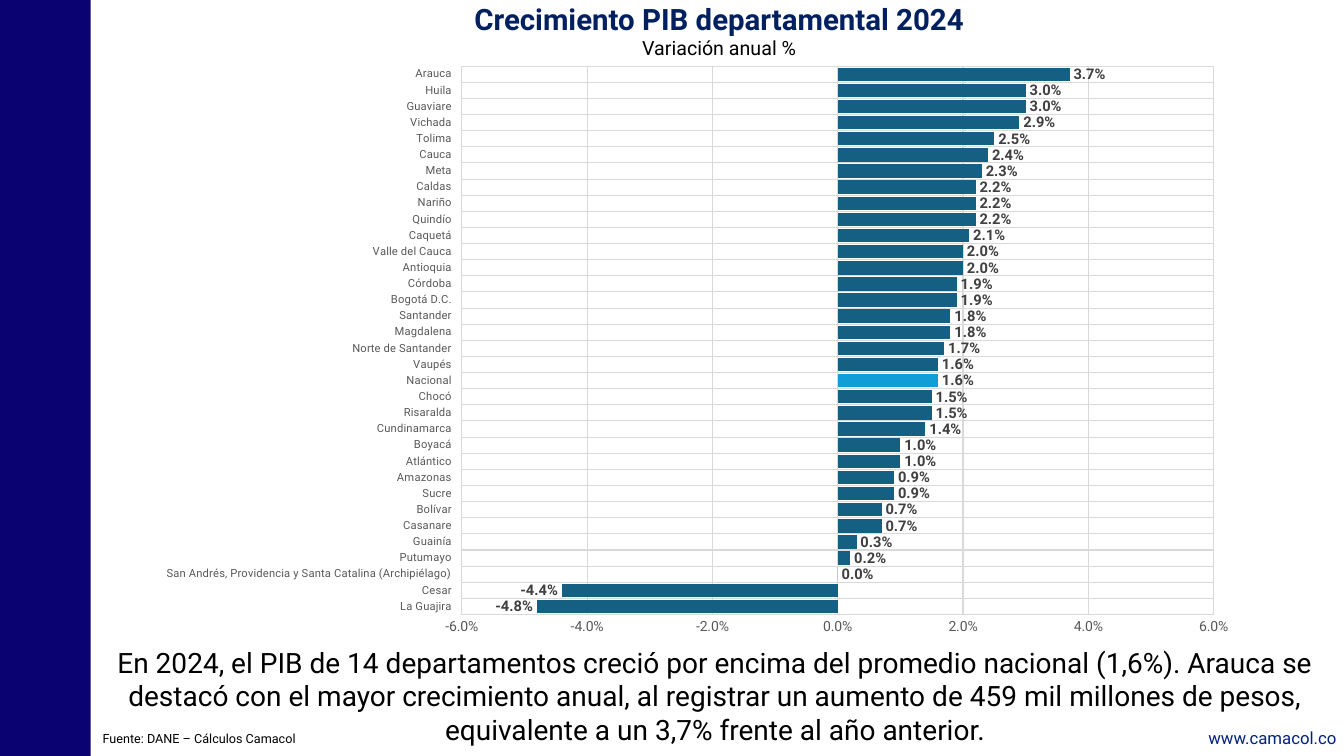
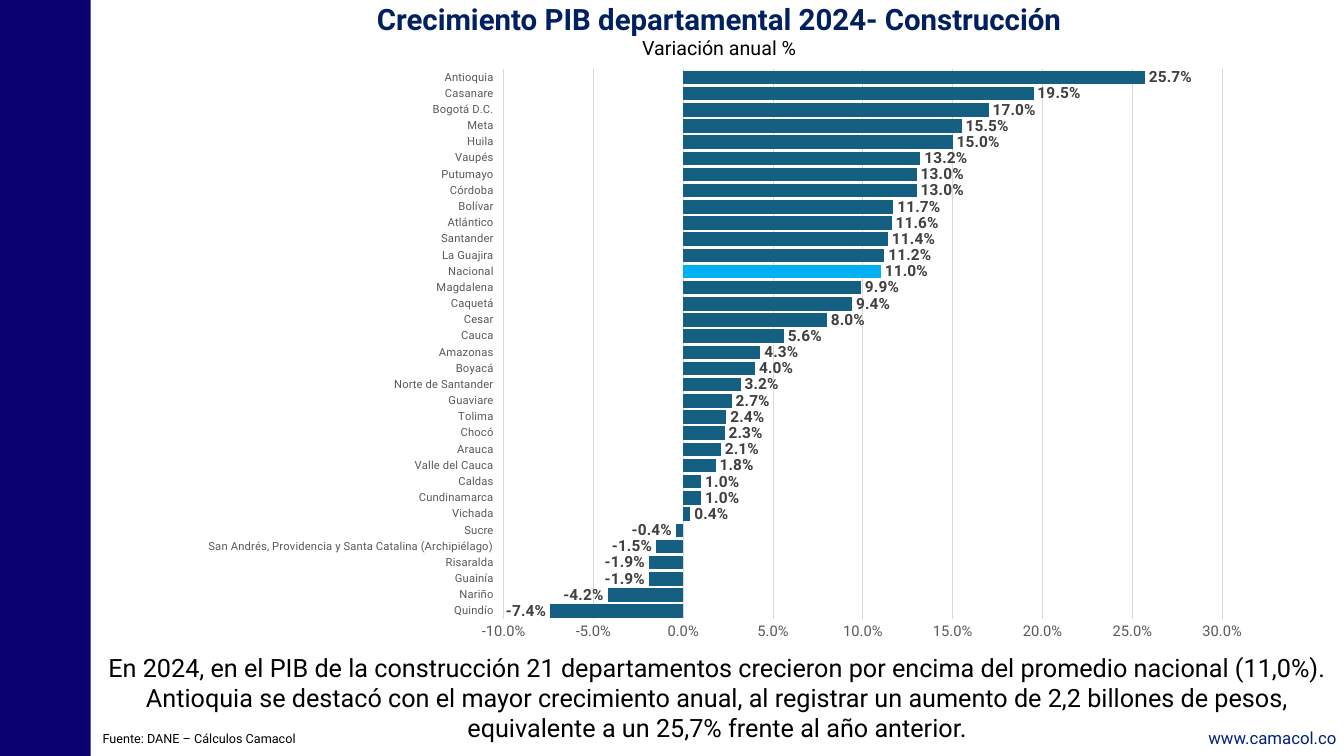
from pptx import Presentation
from pptx.chart.data import CategoryChartData
from pptx.dml.color import RGBColor
from pptx.enum.chart import (XL_CHART_TYPE as ChartType, XL_LABEL_POSITION as LabelPosition,
                             XL_TICK_LABEL_POSITION as TickLabels, XL_TICK_MARK as TickMark)
from pptx.enum.shapes import MSO_SHAPE as Preset
from pptx.enum.text import MSO_ANCHOR as Anchor, MSO_AUTO_SIZE as AutoSize, PP_ALIGN as Align
from pptx.oxml import parse_xml
from pptx.oxml.ns import nsdecls, qn
from pptx.util import Inches, Pt

# Theme: colours and type styles
THEME = {
    "font": "Roboto",
    "band": RGBColor.from_string("0B0272"),
    "bar": RGBColor.from_string("156082"),
    "grid": RGBColor.from_string("D9D9D9"),
    "title": {"size": Pt(21), "bold": True, "color": RGBColor.from_string("002060")},
    "subtitle": {"size": Pt(14), "bold": False, "color": RGBColor.from_string("000000")},
    "message": {"bold": False, "color": RGBColor.from_string("000000")},
    "source": {"size": Pt(9), "bold": False, "color": RGBColor.from_string("000000")},
    "site": {"size": Pt(12), "bold": False, "color": RGBColor.from_string("00227C")},
    "axis": {"bold": False, "color": RGBColor.from_string("595959")},
    "label": {"bold": True, "color": RGBColor.from_string("404040")},
}
CATEGORY_SIZE = Pt(8)
PERCENT = "0.0%"

# Page grid: 100 columns by 100 rows
presentation = Presentation()
presentation.slide_width, presentation.slide_height = Inches(13.33), Inches(7.5)
COLUMN = presentation.slide_width / 100
ROW = presentation.slide_height / 100
TITLE_BOX = (7.65, -0.53, 91.72, 9.2)
SOURCE_BOX = (6.9, 96, 84.5, 3.33)
SITE_BOX = (77.78, 95.73, 21.68, 3.2)
BAND_BOX = (0, 0, 6.75, 100)

# Content, with departments from the bottom bar to the top one
SLIDES = [
    {
        "title": "Crecimiento PIB departamental 2024",
        "message": "En 2024, el PIB de 14 departamentos creció por encima del promedio nacional "
                   "(1,6%). Arauca se destacó con el mayor crecimiento anual, al registrar un "
                   "aumento de 459 mil millones de pesos, equivalente a un 3,7% frente al año "
                   "anterior.",
        "message_box": (7.35, 84.67, 91.72, 14.8), "message_size": Pt(20),
        "chart_box": (10.5, 7.2, 82.28, 78),
        "plot": {"x": 0.29, "y": 0.02, "w": 0.68, "h": 0.93},
        "scale": {"minimum_scale": -0.06, "maximum_scale": 0.06, "major_unit": 0.02},
        "row_lines": True, "axis_size": Pt(10), "label_size": Pt(10.5),
        "highlight": RGBColor.from_string("0F9ED5"),
        "growth": {
            "La Guajira": -0.048, "Cesar": -0.044,
            "San Andrés, Providencia y Santa Catalina (Archipiélago)": 0,
            "Putumayo": 0.002, "Guainía": 0.003, "Casanare": 0.007, "Bolívar": 0.007,
            "Sucre": 0.009, "Amazonas": 0.009, "Atlántico": 0.01, "Boyacá": 0.01,
            "Cundinamarca": 0.014, "Risaralda": 0.015, "Chocó": 0.015, "Nacional": 0.016,
            "Vaupés": 0.016, "Norte de Santander": 0.017, "Magdalena": 0.018,
            "Santander": 0.018, "Bogotá D.C.": 0.019, "Córdoba": 0.019, "Antioquia": 0.02,
            "Valle del Cauca": 0.02, "Caquetá": 0.021, "Quindío": 0.022, "Nariño": 0.022,
            "Caldas": 0.022, "Meta": 0.023, "Cauca": 0.024, "Tolima": 0.025,
            "Vichada": 0.029, "Guaviare": 0.03, "Huila": 0.03, "Arauca": 0.037,
        },
    },
    {
        "title": "Crecimiento PIB departamental 2024- Construcción",
        "message": "En 2024, en el PIB de la construcción 21 departamentos crecieron por encima "
                   "del promedio nacional (11,0%). Antioquia se destacó con el mayor crecimiento "
                   "anual, al registrar un aumento de 2,2 billones de pesos, equivalente a un "
                   "25,7% frente al año anterior.",
        "message_box": (6.75, 85.6, 93.23, 9.47), "message_size": Pt(18),
        "chart_box": (14.33, 7.6, 79.8, 79.07),
        "plot": {"x": 0.29, "y": 0.02, "w": 0.67, "h": 0.92},
        "scale": {"minimum_scale": -0.1, "maximum_scale": 0.3, "major_unit": 0.05},
        "row_lines": False, "axis_size": Pt(10.5), "label_size": Pt(11),
        "highlight": RGBColor.from_string("00B0F0"),
        "growth": {
            "Quindío": -0.074, "Nariño": -0.042, "Guainía": -0.019, "Risaralda": -0.019,
            "San Andrés, Providencia y Santa Catalina (Archipiélago)": -0.015,
            "Sucre": -0.004, "Vichada": 0.004, "Cundinamarca": 0.01, "Caldas": 0.01,
            "Valle del Cauca": 0.018, "Arauca": 0.021, "Chocó": 0.023, "Tolima": 0.024,
            "Guaviare": 0.027, "Norte de Santander": 0.032, "Boyacá": 0.04,
            "Amazonas": 0.043, "Cauca": 0.056, "Cesar": 0.08, "Caquetá": 0.094,
            "Magdalena": 0.099, "Nacional": 0.11, "La Guajira": 0.112, "Santander": 0.114,
            "Atlántico": 0.116, "Bolívar": 0.117, "Córdoba": 0.13, "Putumayo": 0.13,
            "Vaupés": 0.132, "Huila": 0.15, "Meta": 0.155, "Bogotá D.C.": 0.17,
            "Casanare": 0.195, "Antioquia": 0.257,
        },
    },
]


def place(box):
    """Turn columns and rows of the grid into left, top, width and height."""
    return [round(length * unit) for length, unit in zip(box, (COLUMN, ROW) * 2)]


def style(font, look, **extra):
    """Apply a theme style to a font."""
    font.name = THEME["font"]
    for name, value in {**look, **extra}.items():
        if name == "color":
            font.color.rgb = value
        else:
            setattr(font, name, value)


for content in SLIDES:
    slide = presentation.slides.add_slide(presentation.slide_layouts[5])

    # Side band
    band = slide.shapes.add_shape(Preset.RECTANGLE, *place(BAND_BOX))
    band.shadow.inherit = False
    band.fill.solid()
    band.fill.fore_color.rgb = THEME["band"]
    band.line.fill.background()

    # Bar chart
    growth = content["growth"]
    chart_data = CategoryChartData(number_format=PERCENT)
    chart_data.categories = list(growth)
    chart_data.add_series("Variación anual", list(growth.values()))
    chart = slide.shapes.add_chart(ChartType.BAR_CLUSTERED, *place(content["chart_box"]),
                                   chart_data).chart
    chart.has_legend = chart.has_title = False
    style(chart.font, THEME["axis"], size=content["axis_size"])

    plot = chart.plots[0]
    plot.gap_width = 20
    plot.vary_by_categories = False
    series = plot.series[0]
    series.invert_if_negative = False
    national = series.points[list(growth).index("Nacional")]
    for bars, color in ((series, THEME["bar"]), (national, content["highlight"])):
        bars.format.fill.solid()
        bars.format.fill.fore_color.rgb = color

    labels = series.data_labels
    for name, value in {"show_value": True, "number_format": PERCENT,
                        "number_format_is_linked": False,
                        "position": LabelPosition.OUTSIDE_END}.items():
        setattr(labels, name, value)
    style(labels.font, THEME["label"], size=content["label_size"])

    # Axes and grid lines
    departments, percentages = chart.category_axis, chart.value_axis
    departments.tick_label_position = TickLabels.LOW
    departments.has_major_gridlines = content["row_lines"]
    percentages.has_major_gridlines = True
    percentages.tick_labels.number_format = PERCENT
    percentages.tick_labels.number_format_is_linked = False
    for name, value in content["scale"].items():
        setattr(percentages, name, value)
    lines = [departments.format.line]
    for axis, size in ((departments, CATEGORY_SIZE), (percentages, content["axis_size"])):
        axis.major_tick_mark = axis.minor_tick_mark = TickMark.NONE
        style(axis.tick_labels.font, THEME["axis"], size=size)
        if axis.has_major_gridlines:
            lines.append(axis.major_gridlines.format.line)
    for line in lines:
        line.color.rgb = THEME["grid"]
        line.width = Pt(0.75)
    percentages.format.line.fill.background()

    # Plot area as shares of the chart
    plot_area = chart.element.find(qn("c:chart")).find(qn("c:plotArea"))
    for layout in plot_area.findall(qn("c:layout")):
        plot_area.remove(layout)
    shares = "".join(f'<c:{side} val="{share}"/>' for side, share in content["plot"].items())
    plot_area.insert(0, parse_xml(
        f'<c:layout {nsdecls("c")}><c:manualLayout><c:layoutTarget val="inner"/>'
        f'<c:xMode val="edge"/><c:yMode val="edge"/>{shares}</c:manualLayout></c:layout>'))

    # Title, message and footers
    message_look = {**THEME["message"], "size": content["message_size"]}
    texts = [
        (TITLE_BOX, Align.CENTER, [(content["title"], THEME["title"]),
                                   ("Variación anual %", THEME["subtitle"])]),
        (content["message_box"], Align.CENTER, [(content["message"], message_look)]),
        (SOURCE_BOX, Align.LEFT, [("Fuente: DANE – Cálculos Camacol", THEME["source"])]),
        (SITE_BOX, Align.RIGHT, [("www.camacol.co", THEME["site"])]),
    ]
    for box, alignment, rows in texts:
        if box == TITLE_BOX:
            shape = slide.shapes.title
            shape.left, shape.top, shape.width, shape.height = place(box)
        else:
            shape = slide.shapes.add_textbox(*place(box))
        frame = shape.text_frame
        frame.word_wrap = True
        frame.auto_size = AutoSize.NONE
        frame.vertical_anchor = Anchor.TOP
        frame.text = "\n".join(text for text, look in rows)
        for paragraph, (text, look) in zip(frame.paragraphs, rows):
            paragraph.alignment = alignment
            style(paragraph.runs[0].font, look)
        if box == SITE_BOX:
            frame.margin_left = frame.margin_top = frame.margin_right = frame.margin_bottom = 0
            frame.paragraphs[0].line_spacing = 1.2

presentation.save("out.pptx")
